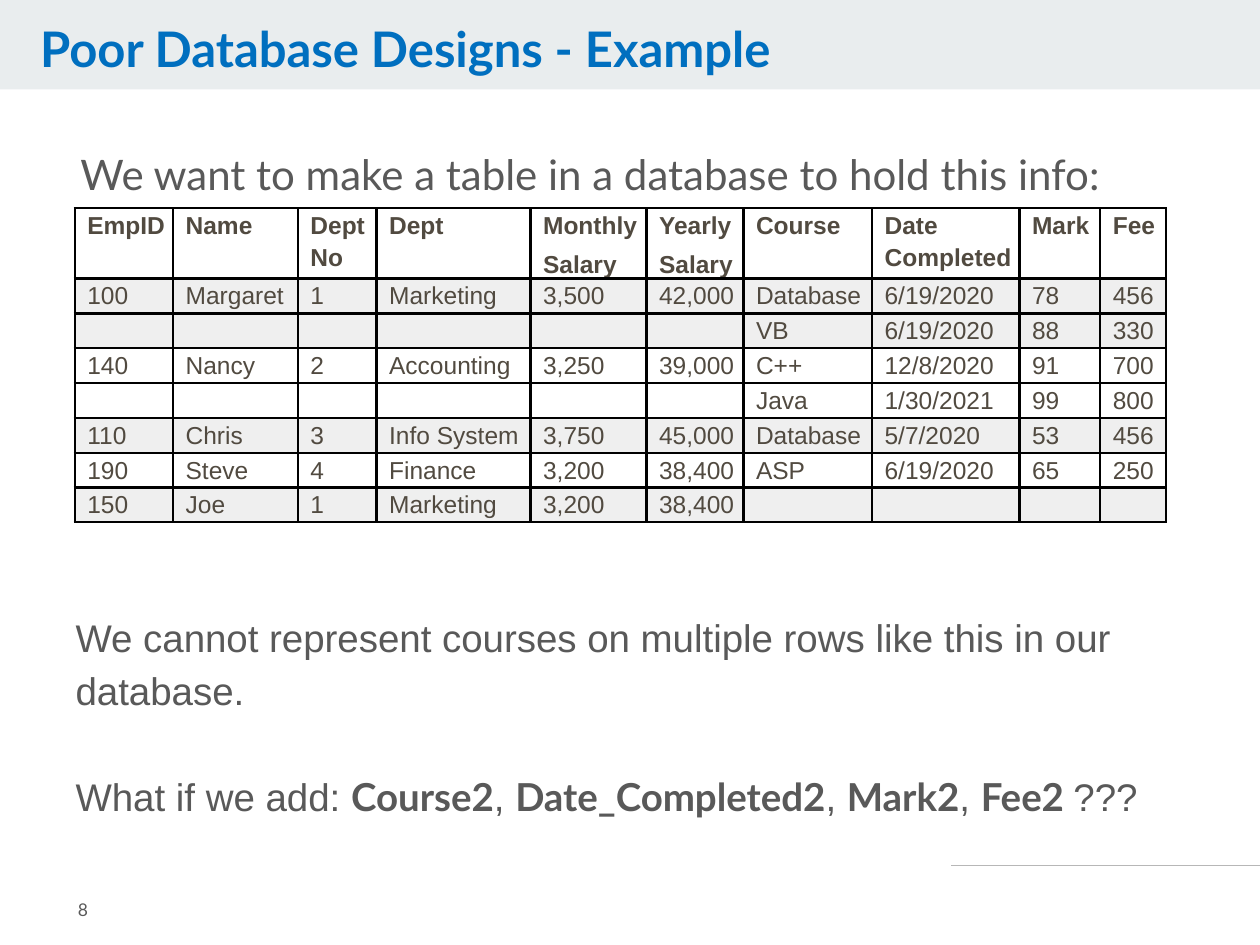
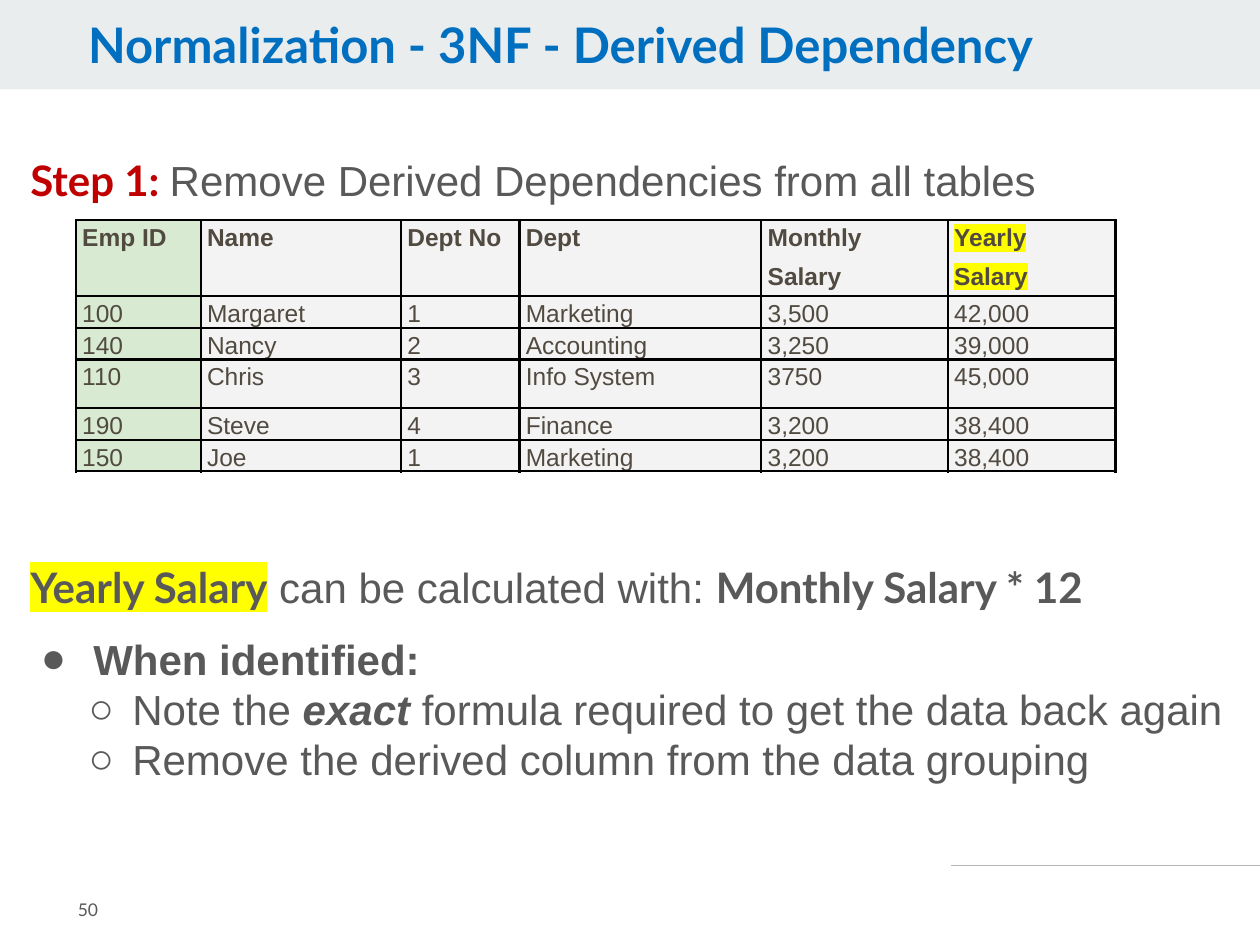
"""Build two slides on poor database design and derived dependencies."""
import dataclasses

import lxml.etree
import pptx
import pptx.dml.color
import pptx.enum.shapes
import pptx.enum.text
import pptx.oxml.ns
import pptx.util

Pt = pptx.util.Pt
qn = pptx.oxml.ns.qn


@dataclasses.dataclass(frozen=True)
class Theme:
    heading_font: str = "Lato"
    text_font: str = "Arial"
    title: str = "006FBF"
    text: str = "595959"
    cell_text: str = "514A40"
    step: str = "C00000"
    marker: str = "FFFF00"
    band: str = "E9EDEE"
    rule: str = "B7B7B7"
    border: str = "000000"
    shaded_row: str = "EFEFEF"
    plain_cell: str = "F3F3F3"
    key_cell: str = "D9EAD3"
    title_size: int = 28
    large_size: int = 24
    body_size: int = 22
    cell_size: int = 14
    number_size: int = 10


THEME = Theme()
STRONG = {"name": THEME.heading_font, "bold": True}


def add_xml(parent, tag, **attributes):
    return lxml.etree.SubElement(parent, qn(tag), attributes)


def add_color(parent, color):
    add_xml(parent, "a:srgbClr", val=color)


def style_font(font, name=None, size=None, color=None, bold=None, italic=None):
    if name:
        font.name = name
    if size:
        font.size = Pt(size)
    if color:
        font.color.rgb = pptx.dml.color.RGBColor.from_string(color)
    if bold is not None:
        font.bold = bold
    if italic is not None:
        font.italic = italic


def highlight(run):
    marker = lxml.etree.Element(qn("a:highlight"))
    add_color(marker, THEME.marker)
    run._r.get_or_add_rPr().insert(0, marker)


class Deck:
    def __init__(self, theme):
        self.theme = theme
        self.presentation = pptx.Presentation()
        self.presentation.slide_width = Pt(720)
        self.presentation.slide_height = Pt(540)
        self.layout = self.presentation.slide_layouts[1]
        for footer in [p for p in self.layout.placeholders if p.placeholder_format.idx >= 10]:
            footer._element.getparent().remove(footer._element)
        self.slide = None

    def add_slide(self, title, left, top, number):
        self.slide = self.presentation.slides.add_slide(self.layout)
        if len(self.presentation.slides) == 1:
            self.decorate_layout()
        heading = self.slide.shapes.title
        self.place(heading, left, top, 567.4, 39.6)
        heading.text_frame.vertical_anchor = pptx.enum.text.MSO_ANCHOR.MIDDLE
        self.set_text(heading.text_frame.paragraphs[0], [title], 0.9,
                      size=self.theme.title_size, color=self.theme.title, **STRONG)
        self.add_text(number, 37.4, 499, 88.6, 41, 1, self.theme.number_size,
                      pptx.enum.text.MSO_ANCHOR.MIDDLE)

    def decorate_layout(self):
        band = self.slide.shapes.add_shape(
            pptx.enum.shapes.MSO_SHAPE.RECTANGLE, 0, 0, Pt(720), Pt(51.1))
        band.shadow.inherit = False
        band.fill.solid()
        band.fill.fore_color.rgb = pptx.dml.color.RGBColor.from_string(self.theme.band)
        band.line.fill.background()
        rule = self.slide.shapes.add_connector(
            pptx.enum.shapes.MSO_CONNECTOR.STRAIGHT, Pt(543.6), Pt(494.6), Pt(720), Pt(494.6))
        rule.line.color.rgb = pptx.dml.color.RGBColor.from_string(self.theme.rule)
        rule.line.width = Pt(0.75)
        add_xml(rule._element.spPr, "a:effectLst")
        for shared in (band, rule):
            self.layout.shapes._spTree.insert(2, shared._element)

    def place(self, box, left, top, width, height):
        box.left, box.top, box.width, box.height = Pt(left), Pt(top), Pt(width), Pt(height)
        box.text_frame.word_wrap = True
        box.text_frame.auto_size = pptx.enum.text.MSO_AUTO_SIZE.NONE

    def set_text(self, paragraph, parts, spacing, before=0, **style):
        for part in parts:
            words, changes = part if isinstance(part, tuple) else (part, {})
            changes = dict(changes)
            marked = changes.pop("marked", False)
            if len(parts) == 1 and not marked:
                paragraph.text = words
                continue
            run = paragraph.add_run()
            run.text = words
            style_font(run.font, **changes)
            if marked:
                highlight(run)
        paragraph.alignment = pptx.enum.text.PP_ALIGN.LEFT
        paragraph.line_spacing = spacing
        paragraph.space_before = Pt(before)
        style_font(paragraph.font, **style)

    def add_text(self, words, left, top, width, height, spacing, size,
                 anchor=pptx.enum.text.MSO_ANCHOR.TOP):
        box = self.slide.shapes.add_textbox(0, 0, 0, 0)
        self.place(box, left, top, width, height)
        frame = box.text_frame
        frame.vertical_anchor = anchor
        frame.margin_left = frame.margin_right = frame.margin_top = frame.margin_bottom = Pt(7.2)
        self.set_text(frame.paragraphs[0], [words], spacing, name=self.theme.heading_font,
                      size=size, color=self.theme.text)

    def fill_body(self, left, top, width, height, size, paragraphs):
        body = self.slide.placeholders[1]
        self.place(body, left, top, width, height)
        for index, (parts, before, level) in enumerate(paragraphs):
            frame = body.text_frame
            paragraph = frame.add_paragraph() if index else frame.paragraphs[0]
            self.set_bullet(paragraph, level)
            self.set_text(paragraph, parts, 1.15 if level is None else 1, before, size=size,
                          name=self.theme.text_font, color=self.theme.text,
                          bold=level == 0)

    def set_bullet(self, paragraph, level):
        properties = paragraph._p.get_or_add_pPr()
        margin, indent, symbol = {None: (0, 0, None), 0: (36, -30, "●"), 1: (58.3, -25, "○")}[level]
        properties.set("marL", str(Pt(margin)))
        properties.set("indent", str(Pt(indent)))
        if symbol is None:
            add_xml(properties, "a:buNone")
            return
        paragraph.level = level
        add_color(add_xml(properties, "a:buClr"), self.theme.text)
        add_xml(properties, "a:buFont", typeface=self.theme.text_font)
        add_xml(properties, "a:buChar", char=symbol)

    def add_table(self, left, top, widths, heights, rows, inset, fill_for, marked=()):
        frame = self.slide.shapes.add_table(len(rows), len(widths), Pt(left), Pt(top),
                                            Pt(sum(widths)), Pt(sum(heights)))
        table = frame.table
        table.first_row = table.horz_banding = False
        for column, width in zip(table.columns, widths):
            column.width = Pt(width)
        for row, height in zip(table.rows, heights):
            row.height = Pt(height)
        for r, row in enumerate(rows):
            for c, words in enumerate(row):
                self.fill_cell(table.cell(r, c), words, inset, fill_for(r, c),
                               r == 0, (r, c) in marked)

    def fill_cell(self, cell, words, inset, fill, bold, marked):
        cell.margin_left = Pt(inset)
        cell.margin_right = cell.margin_top = cell.margin_bottom = 0
        for side in ("a:lnL", "a:lnR", "a:lnT", "a:lnB"):
            edge = add_xml(cell._tc.get_or_add_tcPr(), side, w=str(Pt(1.5)))
            add_color(add_xml(edge, "a:solidFill"), self.theme.border)
        if fill:
            cell.fill.solid()
            cell.fill.fore_color.rgb = pptx.dml.color.RGBColor.from_string(fill)
        else:
            cell.fill.background()
        for index, line in enumerate(words.split("\n")):
            frame = cell.text_frame
            paragraph = frame.add_paragraph() if index else frame.paragraphs[0]
            self.set_text(paragraph, [(line, {"marked": marked})], 1.15, 4 if index else 0,
                          name=self.theme.text_font, size=self.theme.cell_size,
                          color=self.theme.cell_text, bold=bold)


def build_poor_design(deck):
    deck.add_slide("Poor Database Designs - Example", 15.8, 9.4, "8")
    deck.fill_body(36, 343.4, 630.7, 166.3, THEME.body_size, [
        (["We cannot represent courses on multiple rows like this in our database."], 0, None),
        (["What if we add: ", ("Course2", STRONG), ", ", ("Date_Completed2", STRONG), ", ",
          ("Mark2", STRONG), ", ", ("Fee2 ", STRONG), "???"], 30, None),
    ])
    blank = [""] * 6
    courses = [
        ["EmpID", "Name", "Dept\vNo", "Dept", "Monthly\nSalary", "Yearly\nSalary",
         "Course", "Date Completed", "Mark", "Fee"],
        ["100", "Margaret", "1", "Marketing", "3,500", "42,000",
         "Database", "6/19/2020", "78", "456"],
        blank + ["VB", "6/19/2020", "88", "330"],
        ["140", "Nancy", "2", "Accounting", "3,250", "39,000", "C++", "12/8/2020", "91", "700"],
        blank + ["Java", "1/30/2021", "99", "800"],
        ["110", "Chris", "3", "Info System", "3,750", "45,000",
         "Database", "5/7/2020", "53", "456"],
        ["190", "Steve", "4", "Finance", "3,200", "38,400", "ASP", "6/19/2020", "65", "250"],
        ["150", "Joe", "1", "Marketing", "3,200", "38,400", "", "", "", ""],
    ]
    widths = [56.2, 71.3, 45, 88, 66.3, 55.4, 73.5, 84.3, 46.2, 37.6]
    deck.add_table(42.7, 119, widths, [39.8] + [19.9] * 7, courses, 7.2,
                   lambda r, c: THEME.shaded_row if r in (1, 2, 5, 7) else None)
    deck.add_text("We want to make a table in a database to hold this info:",
                  38.9, 63.4, 646.6, 41, 1.5, THEME.large_size)


def build_derived_dependency(deck):
    deck.add_slide("Normalization - 3NF - Derived Dependency", 43.2, 7.2, "50")
    deck.fill_body(10.1, 80.6, 702, 386.6, THEME.large_size, [
        ([("Step 1: ", {**STRONG, "color": THEME.step}),
          "Remove Derived Dependencies from all tables"], 0, None),
        ([("Yearly Salary", {**STRONG, "marked": True}), " can be calculated with: ",
          ("Monthly Salary * 12", STRONG)], 199, None),
        (["When identified:"], 12.4, 0),
        (["Note the ", ("exact", {"bold": True, "italic": True}),
          " formula required to get the data back again"], 0, 1),
        (["Remove the derived column from the data grouping"], 0, 1),
    ])
    employees = [
        ["Emp ID", "Name", "Dept No", "Dept", "Monthly\nSalary", "Yearly\nSalary"],
        ["100", "Margaret", "1", "Marketing", "3,500", "42,000"],
        ["140", "Nancy", "2", "Accounting", "3,250", "39,000"],
        ["110", "Chris", "3", "Info System", "3750", "45,000"],
        ["190", "Steve", "4", "Finance", "3,200", "38,400"],
        ["150", "Joe", "1", "Marketing", "3,200", "38,400"],
    ]
    deck.add_table(43.4, 125.8, [71.3, 114.5, 67.7, 138.2, 106.6, 95.8],
                   [43.4, 18, 18, 27.7, 18, 18], employees, 3.6,
                   lambda r, c: THEME.plain_cell if c else THEME.key_cell, marked={(0, 5)})


def main():
    deck = Deck(THEME)
    build_poor_design(deck)
    build_derived_dependency(deck)
    deck.presentation.save("out.pptx")


if __name__ == "__main__":
    main()
